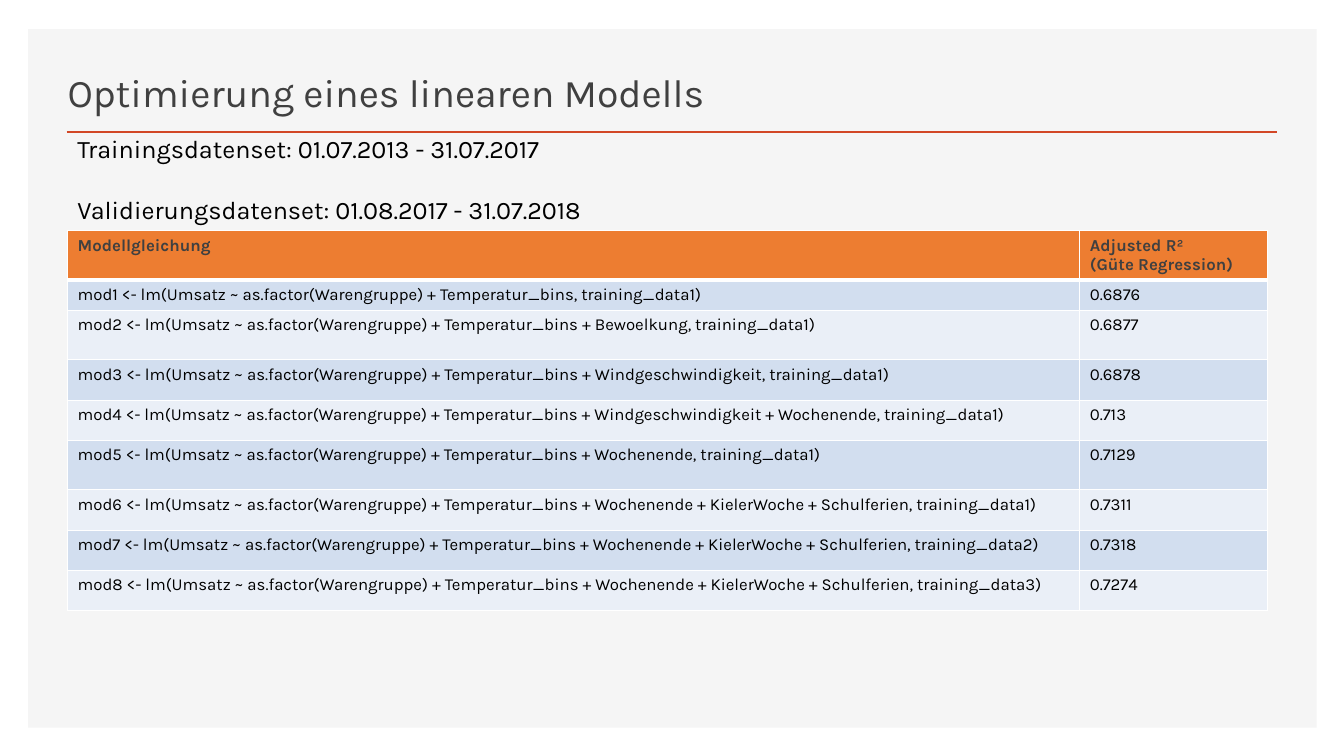
from dataclasses import dataclass

from lxml import etree
from pptx import Presentation
from pptx.dml.color import RGBColor
from pptx.enum.shapes import MSO_CONNECTOR, MSO_SHAPE
from pptx.enum.text import MSO_ANCHOR, MSO_AUTO_SIZE, PP_ALIGN
from pptx.oxml.ns import qn
from pptx.util import Inches, Pt

STRAIGHT = MSO_CONNECTOR.STRAIGHT
RECTANGLE = MSO_SHAPE.RECTANGLE
BOTTOM = MSO_ANCHOR.BOTTOM
NO_AUTOFIT = MSO_AUTO_SIZE.NONE
LEFT = PP_ALIGN.LEFT
TITLE_ONLY = 5


@dataclass(frozen=True)
class Theme:
    font: str = "Karla"
    title_size: int = 28
    body_size: int = 18
    table_size: int = 12
    panel: str = "F5F5F5"
    rule: str = "D24726"
    heading: str = "404040"
    text: str = "000000"
    header_fill: str = "ED7D31"
    bands: tuple = ("D2DEEF", "EAEFF7")
    border: str = "FFFFFF"


class SlideBuilder:
    """Draws the elements of one slide in a given theme."""

    def __init__(self, slide, theme):
        self.slide = slide
        self.theme = theme

    def format_text(self, frame, size, color, bold=False):
        for paragraph in frame.paragraphs:
            paragraph.alignment = LEFT
            for run in paragraph.runs:
                run.font.name = self.theme.font
                run.font.size = Pt(size)
                run.font.bold = bold
                run.font.color.rgb = RGBColor.from_string(color)

    def panel(self, *box):
        panel = self.slide.shapes.add_shape(RECTANGLE, *map(Inches, box))
        panel.shadow.inherit = False
        panel.fill.solid()
        panel.fill.fore_color.rgb = RGBColor.from_string(self.theme.panel)
        panel.line.fill.background()
        self.slide.shapes._spTree.insert(2, panel._element)

    def rule(self, left, right, y, width):
        rule = self.slide.shapes.add_connector(
            STRAIGHT, Inches(left), Inches(y), Inches(right), Inches(y))
        rule.line.color.rgb = RGBColor.from_string(self.theme.rule)
        rule.line.width = Pt(width)
        etree.SubElement(rule._element.spPr, qn("a:effectLst"))

    def title(self, text, *box):
        title = self.slide.shapes.title
        title.left, title.top, title.width, title.height = map(Inches, box)
        frame = title.text_frame
        frame.text = text
        frame.word_wrap = True
        frame.auto_size = NO_AUTOFIT
        frame.vertical_anchor = BOTTOM
        frame.paragraphs[0].space_after = Pt(6)
        self.format_text(frame, self.theme.title_size, self.theme.heading)

    def paragraphs(self, lines, gap, *box):
        frame = self.slide.shapes.add_textbox(*map(Inches, box)).text_frame
        frame.word_wrap = True
        frame.text = "\n".join(lines)
        for paragraph in frame.paragraphs[1:]:
            paragraph.space_before = Pt(gap)
        self.format_text(frame, self.theme.body_size, self.theme.text)

    def cell_borders(self, cell, top, bottom):
        properties = cell._tc.get_or_add_tcPr()
        for side, width in (("L", 1), ("R", 1), ("T", top), ("B", bottom)):
            line = etree.SubElement(properties, qn(f"a:ln{side}"), w=str(Pt(width)))
            fill = etree.SubElement(line, qn("a:solidFill"))
            etree.SubElement(fill, qn("a:srgbClr"), val=self.theme.border)

    def table(self, rows, left, top, widths, heights):
        table = self.slide.shapes.add_table(
            len(rows), len(widths), Inches(left), Inches(top),
            Inches(sum(widths)), Inches(sum(heights))).table
        for column, width in zip(table.columns, widths):
            column.width = Inches(width)
        for index, (values, height) in enumerate(zip(rows, heights)):
            table.rows[index].height = Inches(height)
            header = index == 0
            fill = self.theme.header_fill if header else self.theme.bands[(index - 1) % 2]
            color = self.theme.heading if header else self.theme.text
            for cell, value in zip(table.rows[index].cells, values):
                cell.text = value
                self.format_text(cell.text_frame, self.theme.table_size, color, header)
                self.cell_borders(cell, 3 if index == 1 else 1, 3 if header else 1)
                cell.fill.solid()
                cell.fill.fore_color.rgb = RGBColor.from_string(fill)


MODELS = [
    ("Temperatur_bins", 1, "0.6876"),
    ("Temperatur_bins + Bewoelkung", 1, "0.6877"),
    ("Temperatur_bins + Windgeschwindigkeit", 1, "0.6878"),
    ("Temperatur_bins + Windgeschwindigkeit + Wochenende", 1, "0.713"),
    ("Temperatur_bins + Wochenende", 1, "0.7129"),
    ("Temperatur_bins + Wochenende + KielerWoche + Schulferien", 1, "0.7311"),
    ("Temperatur_bins + Wochenende + KielerWoche + Schulferien", 2, "0.7318"),
    ("Temperatur_bins + Wochenende + KielerWoche + Schulferien", 3, "0.7274"),
]


def main():
    presentation = Presentation()
    presentation.slide_width = Inches(13.33)
    presentation.slide_height = Inches(7.5)
    slide = presentation.slides.add_slide(presentation.slide_layouts[TITLE_ONLY])
    builder = SlideBuilder(slide, Theme())

    builder.panel(0.28, 0.29, 12.78, 6.93)
    builder.rule(0.66, 12.67, 1.31, 2)
    builder.title("Optimierung eines linearen Modells", 0.57, 0.49, 8.96, 0.7)

    header = ("Modellgleichung", "Adjusted R²\n(Güte Regression)")
    equations = [
        (f"mod{number} <- lm(Umsatz ~ as.factor(Warengruppe) + {terms}, training_data{dataset})",
         adjusted_r2)
        for number, (terms, dataset, adjusted_r2) in enumerate(MODELS, 1)
    ]
    row_heights = [0.48, 0.3, 0.49, 0.4, 0.4, 0.49, 0.4, 0.4, 0.4]
    builder.table([header] + equations, 0.67, 2.29, [10.04, 1.86], row_heights)

    periods = [
        "Trainingsdatenset: 01.07.2013 - 31.07.2017",
        "Validierungsdatenset: 01.08.2017 - 31.07.2018",
    ]
    builder.paragraphs(periods, 22, 0.67, 1.27, 7.83, 1.01)
    presentation.save("out.pptx")


if __name__ == "__main__":
    main()
